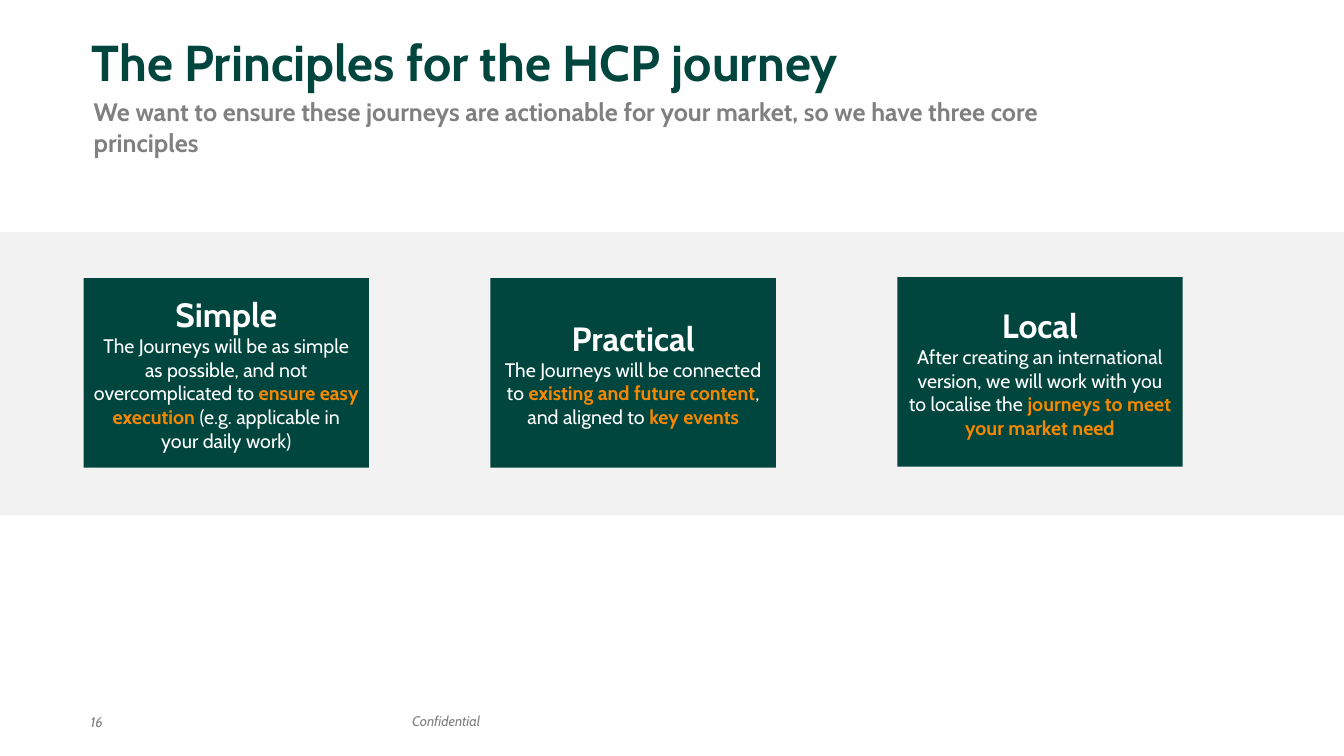
from pptx import Presentation
from pptx.dml.color import RGBColor
from pptx.enum.shapes import MSO_SHAPE
from pptx.enum.text import MSO_ANCHOR, PP_ALIGN
from pptx.util import Inches, Pt

GREEN = RGBColor(0x00, 0x46, 0x3E)
ORANGE = RGBColor(0xF5, 0x88, 0x00)
GREY = RGBColor(0x80, 0x80, 0x80)
BAND_GREY = RGBColor(0xF2, 0xF2, 0xF2)
WHITE = RGBColor(0xFF, 0xFF, 0xFF)
FONT = "Cabin"

TITLE = "The Principles for the HCP journey"
SUBTITLE = ("We want to ensure these journeys are actionable for your market, "
            "so we have three core principles")
PAGE_NUMBER = "16"
FOOTER = "Confidential"

PRINCIPLES = [
    ("Simple", 2.76, [
        ("The Journeys will be as simple as possible, and not overcomplicated to ", False),
        ("ensure easy execution ", True),
        ("(e.g. applicable in your daily work)", False)]),
    ("Practical", 2.76, [
        ("The Journeys will be connected to ", False),
        ("existing and future content", True),
        (", and aligned to ", False),
        ("key events", True)]),
    ("Local", 2.75, [
        ("After creating an international version, we will work with you to localise the ", False),
        ("journeys to meet your market need", True)]),
]
CARD_LEFT, CARD_STEP, CARD_WIDTH, CARD_HEIGHT = 0.83, 4.035, 2.83, 1.88


def add_span(para, text, size, color, bold=False, italic=False):
    span = para.add_run()
    span.text = text
    span.font.name = FONT
    span.font.size = Pt(size)
    span.font.color.rgb = color
    span.font.bold = bold
    span.font.italic = italic


def add_text(page, place, text, size, color, bold=False, italic=False, wrap=True):
    box = page.shapes.add_textbox(*map(Inches, place))
    box.text_frame.word_wrap = wrap
    add_span(box.text_frame.paragraphs[0], text, size, color, bold, italic)
    return box


def add_block(page, place, color):
    block = page.shapes.add_shape(MSO_SHAPE.RECTANGLE, *map(Inches, place))
    block.shadow.inherit = False
    block.fill.solid()
    block.fill.fore_color.rgb = color
    block.line.fill.background()
    return block


def add_card(page, left, top, heading, parts):
    card = add_block(page, (left, top, CARD_WIDTH, CARD_HEIGHT), GREEN)
    frame = card.text_frame
    frame.word_wrap = True
    frame.vertical_anchor = MSO_ANCHOR.MIDDLE
    head, body = frame.paragraphs[0], frame.add_paragraph()
    head.alignment = body.alignment = PP_ALIGN.CENTER
    add_span(head, heading, 24, WHITE, bold=True)
    for text, strong in parts:
        add_span(body, text, 14, ORANGE if strong else WHITE, bold=strong)


def main():
    deck = Presentation()
    deck.slide_width, deck.slide_height = Inches(13.33), Inches(7.5)
    page = deck.slides.add_slide(deck.slide_layouts[6])

    add_text(page, (3.99, 7.02, 0.93, 0.27), FOOTER, 10, GREY, italic=True, wrap=False)
    add_text(page, (0.8, 7.03, 0.41, 0.27), PAGE_NUMBER, 10, GREY, italic=True, wrap=False)
    add_block(page, (0, 2.3, 13.33, 2.81), BAND_GREY)

    title = add_text(page, (0.81, 0.29, 11.62, 1.5), TITLE, 36, GREEN, bold=True)
    title.text_frame.margin_top = Inches(0.02)
    title.text_frame.margin_bottom = 0

    for index, (heading, top, parts) in enumerate(PRINCIPLES):
        add_card(page, CARD_LEFT + index * CARD_STEP, top, heading, parts)

    add_text(page, (0.83, 0.91, 9.82, 0.71), SUBTITLE, 18, GREY, bold=True)
    deck.save("out.pptx")


if __name__ == "__main__":
    main()
